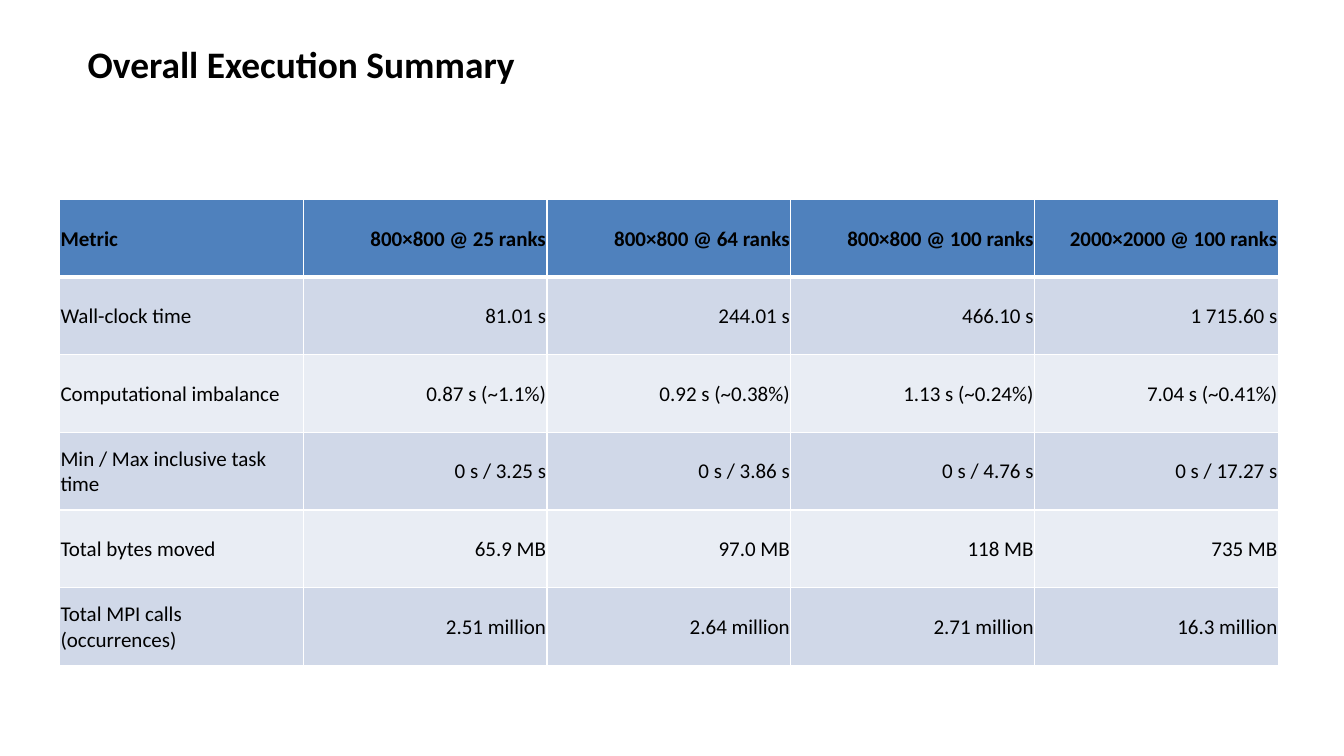
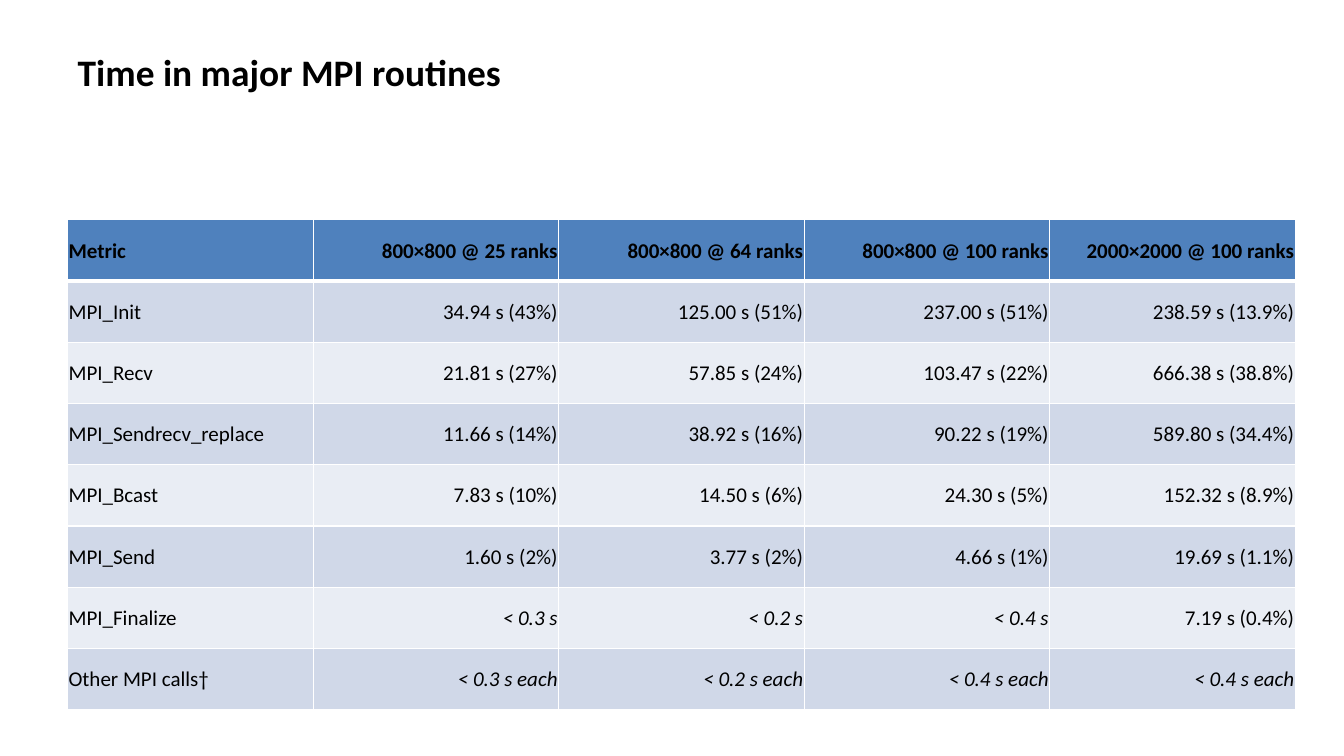
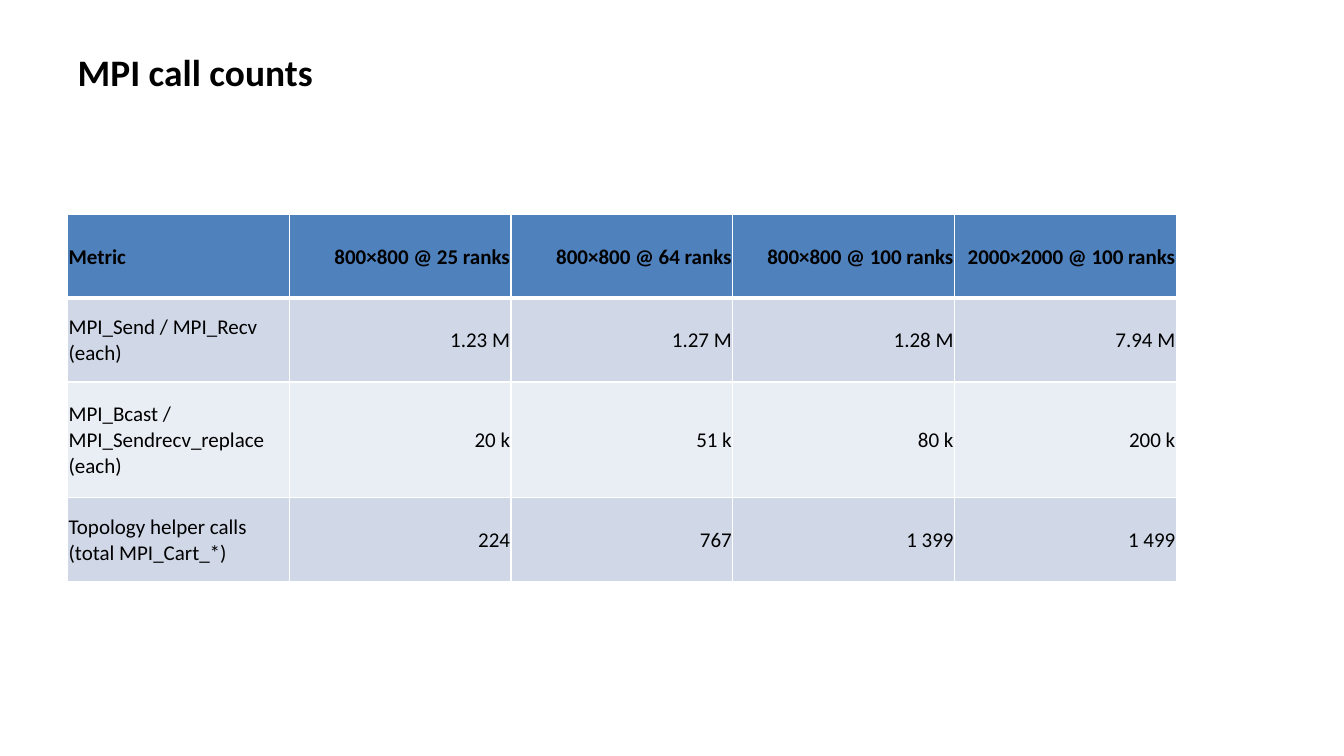
from lxml import etree
from pptx import Presentation
from pptx import util as u
from pptx.dml.color import RGBColor
from pptx.enum import text
from pptx.oxml.ns import qn

BLACK = RGBColor(0x00, 0x00, 0x00)
WHITE = RGBColor(0xFF, 0xFF, 0xFF)
BLUE = RGBColor(0x4F, 0x81, 0xBD)
BANDS = (RGBColor(0xD0, 0xD8, 0xE8), RGBColor(0xE9, 0xED, 0xF4))
FONT = "Calibri"
WIDTH, HEIGHT = u.Inches(13.33), u.Inches(7.5)
HEAD = ("Metric", "800×800 @ 25 ranks", "800×800 @ 64 ranks",
        "800×800 @ 100 ranks", "2000×2000 @ 100 ranks")
TITLE = (5.03, 4, 53.7, 10.93)

SUMMARY = (
    ("Wall-clock time", "81.01 s", "244.01 s", "466.10 s", "1 715.60 s"),
    ("Computational imbalance", "0.87 s (~1.1%)", "0.92 s (~0.38%)",
     "1.13 s (~0.24%)", "7.04 s (~0.41%)"),
    ("Min / Max inclusive task time", "0 s / 3.25 s", "0 s / 3.86 s",
     "0 s / 4.76 s", "0 s / 17.27 s"),
    ("Total bytes moved", "65.9 MB", "97.0 MB", "118 MB", "735 MB"),
    ("Total MPI calls (occurrences)", "2.51 million", "2.64 million",
     "2.71 million", "16.3 million"),
)
TIMES = (
    ("MPI_Init", "34.94 s (43%)", "125.00 s (51%)", "237.00 s (51%)", "238.59 s (13.9%)"),
    ("MPI_Recv", "21.81 s (27%)", "57.85 s (24%)", "103.47 s (22%)", "666.38 s (38.8%)"),
    ("MPI_Sendrecv_replace", "11.66 s (14%)", "38.92 s (16%)", "90.22 s (19%)",
     "589.80 s (34.4%)"),
    ("MPI_Bcast", "7.83 s (10%)", "14.50 s (6%)", "24.30 s (5%)", "152.32 s (8.9%)"),
    ("MPI_Send", "1.60 s (2%)", "3.77 s (2%)", "4.66 s (1%)", "19.69 s (1.1%)"),
    ("MPI_Finalize", "< 0.3 s", "< 0.2 s", "< 0.4 s", "7.19 s (0.4%)"),
    ("Other MPI calls†", "< 0.3 s each", "< 0.2 s each", "< 0.4 s each", "< 0.4 s each"),
)
COUNTS = (
    ("MPI_Send / MPI_Recv (each)", "1.23 M", "1.27 M", "1.28 M", "7.94 M"),
    ("MPI_Bcast / MPI_Sendrecv_replace (each)", "20 k", "51 k", "80 k", "200 k"),
    ("Topology helper calls (total MPI_Cart_*)", "224", "767", "1 399", "1 499"),
)


def wide(share):
    return round(WIDTH * share / 100)


def high(share):
    return round(HEIGHT * share / 100)


def style(font, size, bold, slant=False):
    font.name, font.size, font.bold, font.italic = FONT, u.Pt(size), bold, slant
    font.color.rgb = BLACK


def add_page(deck, title, place):
    slide = deck.slides.add_slide(deck.slide_layouts[5])
    shape = slide.shapes.title
    left, top, width, height = place
    shape.left, shape.top = wide(left), high(top)
    shape.width, shape.height = wide(width), high(height)
    frame = shape.text_frame
    frame.text = title
    frame.word_wrap = True
    frame.auto_size = text.MSO_AUTO_SIZE.NONE
    frame.vertical_anchor = text.MSO_ANCHOR.MIDDLE
    line = frame.paragraphs[0]
    line.alignment = text.PP_ALIGN.LEFT
    style(line.runs[0].font, 26.7, True)
    return slide


def add_edge(cell, side, points):
    edge = etree.SubElement(cell._tc.get_or_add_tcPr(), qn(f"a:ln{side}"),
                            w=str(u.Pt(points)))
    fill = etree.SubElement(edge, qn("a:solidFill"))
    etree.SubElement(fill, qn("a:srgbClr"), val=str(WHITE))


def fill_cell(cell, words, row, col):
    for side in "LRTB":
        thick = (side, row) in (("B", 0), ("T", 1))
        add_edge(cell, side, 3 if thick else 1)
    cell.fill.solid()
    cell.fill.fore_color.rgb = BANDS[(row - 1) % 2] if row else BLUE
    cell.margin_left = cell.margin_right = cell.margin_top = u.Inches(0.01)
    cell.margin_bottom = 0
    cell.vertical_anchor = text.MSO_ANCHOR.MIDDLE
    cell.text_frame.text = words
    line = cell.text_frame.paragraphs[0]
    line.alignment = text.PP_ALIGN.RIGHT if col else text.PP_ALIGN.LEFT
    style(line.runs[0].font, 15, row == 0, words.startswith("<"))


def add_grid(slide, body, left, top, width, heights):
    rows = (HEAD,) + body
    table = slide.shapes.add_table(
        len(rows), len(HEAD), wide(left), high(top),
        wide(width * len(HEAD)), high(sum(heights))).table
    for col in table.columns:
        col.width = wide(width)
    for r, (row, height) in enumerate(zip(rows, heights)):
        table.rows[r].height = high(height)
        for c, words in enumerate(row):
            fill_cell(table.cell(r, c), words, r, c)


def main():
    deck = Presentation()
    deck.slide_width, deck.slide_height = WIDTH, HEIGHT
    slide = add_page(deck, "Overall Execution Summary", (5.77, 4.8, 50, 7.33))
    add_grid(slide, SUMMARY, 4.43, 26.4, 18.14, [10.27] * 6)
    slide = add_page(deck, "Time in major MPI routines", TITLE)
    add_grid(slide, TIMES, 5.03, 29.07, 18.27, [8.1] * 8)
    slide = add_page(deck, "MPI call counts", TITLE)
    add_grid(slide, COUNTS, 5.03, 28.4, 16.5, [11.07, 11.07, 15.33, 11.07])
    deck.save("out.pptx")


if __name__ == "__main__":
    main()
